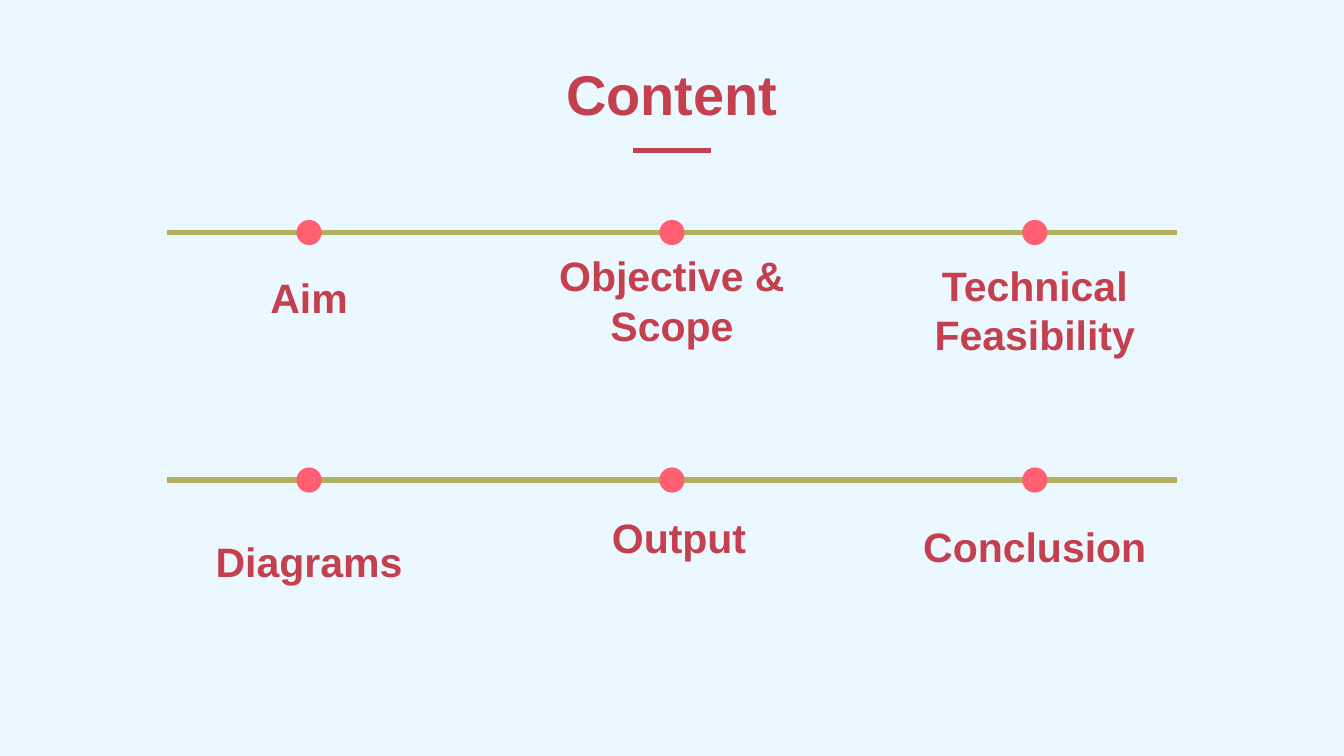
from lxml.etree import SubElement
from pptx import Presentation
from pptx.dml.color import RGBColor
from pptx.enum.shapes import MSO_CONNECTOR, MSO_SHAPE
from pptx.enum.text import MSO_ANCHOR, MSO_AUTO_SIZE, PP_ALIGN
from pptx.oxml.ns import qn
from pptx.util import Pt

COLORS = {"background": "ECF8FF", "text": "C5404E", "track": "B3B05D", "dot": "FF5F70"}
WIDTH, HEIGHT = 720, 405
COLUMN_GAP = 194.4
COLUMNS = [WIDTH / 2 + i * COLUMN_GAP for i in (-1, 0, 1)]
DOT = 13.5

# Each row: track height, then (label, bottom, shift from the column, width, height)
ROWS = [
    (124.6, [("Aim", 179.5, 0, 147, 52.6),
             ("Objective & Scope", 194.4, 0, 147, 52.6),
             ("Technical Feasibility", 199.6, 0, 147, 52.6)]),
    (257.2, [("Diagrams", 320.8, 0, 147, 52.6),
             ("Output", 308.2, 3.8, 96.5, 43.2),
             ("Conclusion", 313.2, 0, 147, 52.6)]),
]


def color(name):
    return RGBColor.from_string(COLORS[name])


def write(sp, text, size=22, fill="text", bold=True):
    tf = sp.text_frame
    tf.word_wrap = True
    tf.auto_size = MSO_AUTO_SIZE.NONE
    tf.vertical_anchor = MSO_ANCHOR.BOTTOM
    tf.margin_left = tf.margin_right = tf.margin_top = tf.margin_bottom = Pt(7.2)
    p = tf.paragraphs[0]
    p.alignment = PP_ALIGN.CENTER
    p.line_spacing = 1.0
    r = p.add_run()
    r.text = text
    r.font.name = "Arial"
    r.font.size = Pt(size)
    r.font.bold = bold
    r.font.color.rgb = color(fill)


def add_title(s, text):
    sp = s.shapes.title
    sp.left, sp.top, sp.width, sp.height = Pt(62.6), Pt(15.5), Pt(594.8), Pt(59.8)
    write(sp, text, size=30)


def add_line(s, y, length, fill):
    x = (WIDTH - length) / 2
    line = s.shapes.add_connector(
        MSO_CONNECTOR.STRAIGHT, Pt(x), Pt(y), Pt(x + length), Pt(y))
    line.line.color.rgb = color(fill)
    line.line.width = Pt(3)
    SubElement(line._element.spPr, qn("a:effectLst"))


def add_dot(s, x, y):
    sp = s.shapes.add_shape(
        MSO_SHAPE.OVAL, Pt(x - DOT / 2), Pt(y - DOT / 2), Pt(DOT), Pt(DOT))
    sp.shadow.inherit = False
    sp.fill.solid()
    sp.fill.fore_color.rgb = color("dot")
    sp.line.fill.background()


def add_label(s, text, x, bottom, width, height):
    sp = s.shapes.add_textbox(
        Pt(x - width / 2), Pt(bottom - height), Pt(width), Pt(height))
    write(sp, text)


def main():
    prs = Presentation()
    prs.slide_width, prs.slide_height = Pt(WIDTH), Pt(HEIGHT)
    s = prs.slides.add_slide(prs.slide_layouts[5])
    s.background.fill.solid()
    s.background.fill.fore_color.rgb = color("background")

    # Heading with its underline
    add_line(s, 80.6, 41.8, "text")
    add_title(s, "Content")

    # Timeline rows
    for y, labels in ROWS:
        add_line(s, y, 541.4, "track")
        for x, (text, bottom, shift, width, height) in zip(COLUMNS, labels):
            add_dot(s, x, y)
            add_label(s, text, x + shift, bottom, width, height)

    prs.save("out.pptx")


if __name__ == "__main__":
    main()
